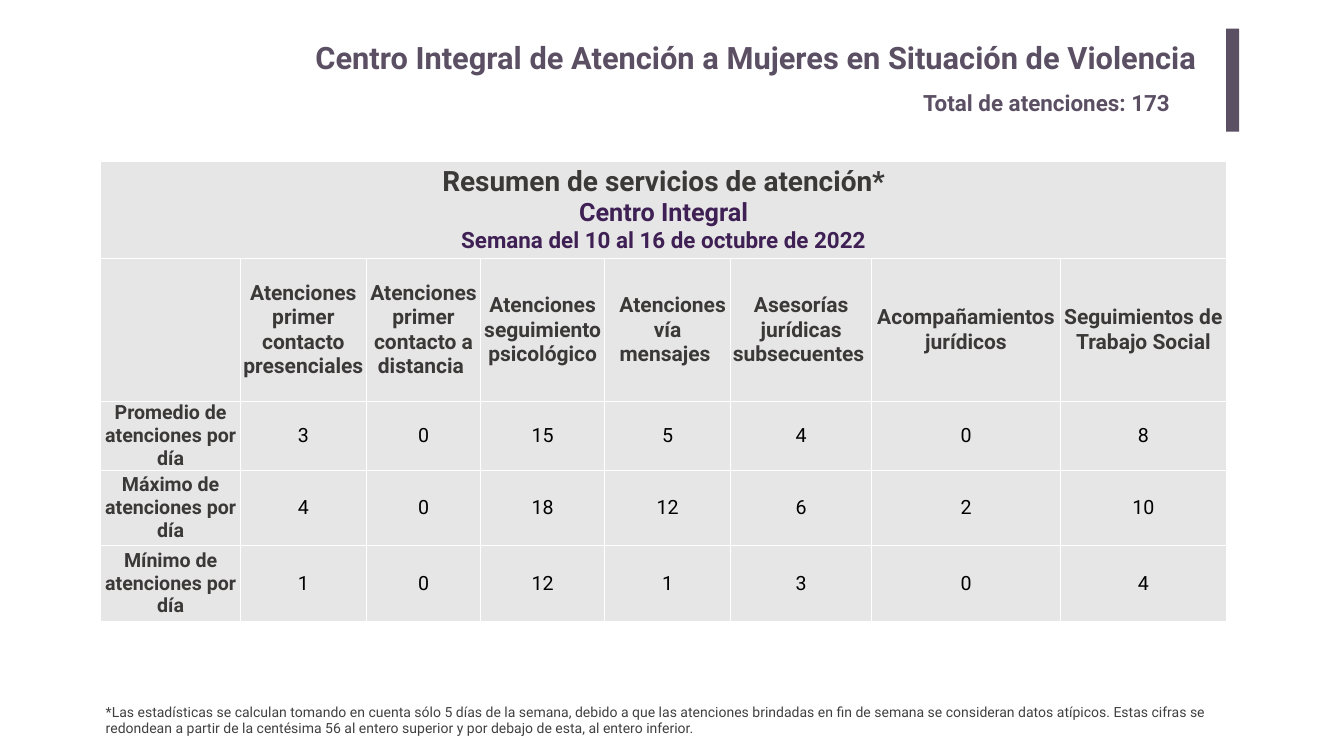
from lxml import etree
from pptx import Presentation
from pptx.dml.color import RGBColor
from pptx.enum.shapes import MSO_SHAPE
from pptx.enum.text import MSO_ANCHOR, MSO_AUTO_SIZE, PP_ALIGN
from pptx.oxml.ns import qn
from pptx.util import Inches, Pt

COLORS = {
    "mauve": "5B4F63", "purple": "3E2054", "dark": "3B3838", "note": "404040",
    "black": "000000", "cell": "E7E6E6", "grid": "FFFFFF",
}
FONT = "Roboto"

HEADING = [
    ("Resumen de servicios de atención*", 40, "dark"),
    ("Centro Integral", 36, "purple"),
    ("Semana del 10 al 16 de octubre de 2022", 32, "purple"),
]
SERVICES = [
    "Atenciones primer contacto presenciales",
    "Atenciones primer contacto a distancia ",
    "Atenciones seguimiento psicológico",
    "Atenciones vía\vmensajes ",
    "Asesorías jurídicas subsecuentes ",
    "Acompañamientos jurídicos",
    "Seguimientos de Trabajo Social",
]
DAILY_FIGURES = [
    ("Promedio de atenciones por día", [3, 0, 15, 5, 4, 0, 8]),
    ("Máximo de atenciones por día", [4, 0, 18, 12, 6, 2, 10]),
    ("Mínimo de atenciones por día", [1, 0, 12, 1, 3, 0, 4]),
]
COLUMN_WIDTHS = [2.77, 2.5, 2.27, 2.46, 2.5, 2.8, 3.74, 3.3]
ROW_HEIGHTS = [1.92, 2.83, 1.19, 1.5, 1.5]


def rgb(name):
    return RGBColor.from_string(COLORS[name])


def write(paragraph, text, size, color, bold=True, align=PP_ALIGN.LEFT):
    paragraph.text = text
    paragraph.alignment = align
    for run in paragraph.runs:
        font = run.font
        font.name, font.size, font.bold = FONT, Pt(size), bold
        font.color.rgb = rgb(color)


def prepare_frame(frame, inset_x=0.1, inset_y=0.05):
    frame.word_wrap = True
    frame.auto_size = MSO_AUTO_SIZE.NONE
    frame.vertical_anchor = MSO_ANCHOR.TOP
    frame.margin_left = frame.margin_right = Inches(inset_x)
    frame.margin_top = frame.margin_bottom = Inches(inset_y)


def add_text(slide, left, top, width, height, *style):
    box = slide.shapes.add_textbox(*map(Inches, (left, top, width, height)))
    prepare_frame(box.text_frame)
    write(box.text_frame.paragraphs[0], *style)


def style_cell(cell):
    cell.margin_left = cell.margin_right = cell.margin_top = cell.margin_bottom = 0
    cell.vertical_anchor = MSO_ANCHOR.MIDDLE
    properties = cell._tc.get_or_add_tcPr()
    for side in ("lnL", "lnR", "lnT", "lnB"):
        line = etree.SubElement(properties, qn("a:" + side), w=str(Pt(1)))
        fill = etree.SubElement(line, qn("a:solidFill"))
        etree.SubElement(fill, qn("a:srgbClr"), val=COLORS["grid"])
    cell.fill.solid()
    cell.fill.fore_color.rgb = rgb("cell")


# Title, total and accent bar
def add_header(slide, left, top):
    title = slide.shapes.title
    title.left, title.top = Inches(left), Inches(top + 0.1)
    title.width, title.height = Inches(20.3), Inches(1.02)
    prepare_frame(title.text_frame, 0.2, 0.1)
    write(title.text_frame.paragraphs[0],
          "Centro Integral de Atención a Mujeres en Situación de Violencia",
          44, "mauve", True, PP_ALIGN.RIGHT)
    add_text(slide, left + 14.56, top + 1.14, 5.92, 0.64,
             "Total de atenciones: 173", 32, "mauve")
    bar = slide.shapes.add_shape(
        MSO_SHAPE.RECTANGLE, *map(Inches, (left + 20.67, top, 0.26, 2.04)))
    bar.shadow.inherit = False
    bar.fill.solid()
    bar.fill.fore_color.rgb = rgb("mauve")
    bar.line.fill.background()


# Summary of services per day
def add_summary_table(slide, left, top):
    table = slide.shapes.add_table(
        len(ROW_HEIGHTS), len(COLUMN_WIDTHS), Inches(left), Inches(top),
        Inches(sum(COLUMN_WIDTHS)), Inches(sum(ROW_HEIGHTS))).table
    table.first_row = table.horz_banding = False
    for column, width in zip(table.columns, COLUMN_WIDTHS):
        column.width = Inches(width)
    for row, height in zip(table.rows, ROW_HEIGHTS):
        row.height = Inches(height)
    for cell in table.iter_cells():
        style_cell(cell)

    # Merged heading
    heading = table.cell(0, 0)
    heading.merge(table.cell(0, len(COLUMN_WIDTHS) - 1))
    frame = heading.text_frame
    for i, (text, size, color) in enumerate(HEADING):
        paragraph = frame.add_paragraph() if i else frame.paragraphs[0]
        write(paragraph, text, size, color, True, PP_ALIGN.CENTER)

    # Column names, row names and figures
    def fill_cell(row, col, *style):
        paragraph = table.cell(row, col).text_frame.paragraphs[0]
        write(paragraph, *style, PP_ALIGN.CENTER)
        return paragraph

    for col, service in enumerate(SERVICES, 1):
        paragraph = fill_cell(1, col, service, 30, "dark", True)
        if "vía" in service:
            paragraph._p.get_or_add_pPr().set("indent", str(Inches(0.2)))
    for row, (label, figures) in enumerate(DAILY_FIGURES, 2):
        fill_cell(row, 0, label, 28, "dark", True)
        for col, figure in enumerate(figures, 1):
            fill_cell(row, col, str(figure), 28, "black", False)


# Method note
def add_footnote(slide, left, top):
    add_text(slide, left, top, 22.33, 0.77,
             "*Las estadísticas se calculan tomando en cuenta sólo 5 días de la "
             "semana, debido a que las atenciones brindadas en fin de semana se "
             "consideran datos atípicos. Estas cifras se redondean a partir de la "
             "centésima 56 al entero superior y por debajo de esta, al entero "
             "inferior.", 20, "note", False)


prs = Presentation()
prs.slide_width, prs.slide_height = Inches(26.67), Inches(15)
slide = prs.slides.add_slide(prs.slide_layouts[5])
add_summary_table(slide, 2, 3.21)
add_header(slide, 3.66, 0.57)
add_footnote(slide, 2, 13.9)
prs.save("out.pptx")
